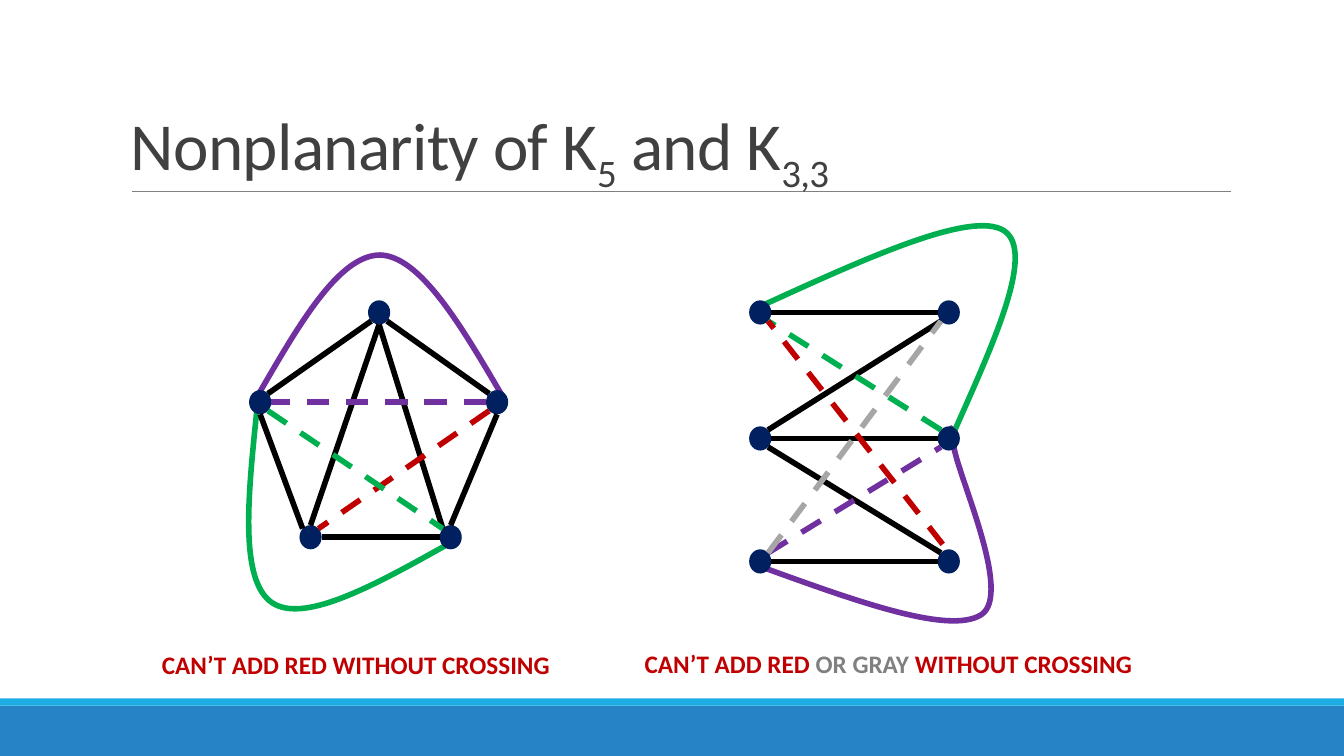
"""Slide showing why K5 and K3,3 cannot be drawn without crossings."""
from lxml.etree import SubElement
from pptx import Presentation
from pptx.dml.color import RGBColor
from pptx.enum.dml import MSO_LINE
from pptx.enum.shapes import MSO_CONNECTOR, MSO_SHAPE
from pptx.enum.text import MSO_ANCHOR, PP_ALIGN
from pptx.oxml.ns import qn
from pptx.util import Inches, Pt

BLACK = RGBColor(0x00, 0x00, 0x00)
NAVY = RGBColor(0x00, 0x20, 0x60)
PURPLE = RGBColor(0x70, 0x30, 0xA0)
GREEN = RGBColor(0x00, 0xB0, 0x50)
RED = RGBColor(0xC0, 0x00, 0x00)
SILVER = RGBColor(0xA6, 0xA6, 0xA6)
GRAY = RGBColor(0x80, 0x80, 0x80)
CHARCOAL = RGBColor(0x40, 0x40, 0x40)
BLUE = RGBColor(0x26, 0x83, 0xC6)
CYAN = RGBColor(0x1C, 0xAD, 0xE4)

NODE_WIDTH, NODE_HEIGHT = 0.22, 0.24
DIAGONAL = 0.71
SIDES = {
    "N": (0, -1), "S": (0, 1), "W": (-1, 0), "E": (1, 0),
    "NW": (-DIAGONAL, -DIAGONAL), "NE": (DIAGONAL, -DIAGONAL),
    "SW": (-DIAGONAL, DIAGONAL), "SE": (DIAGONAL, DIAGONAL),
}

NODES = {
    "left": (2.58, 3.99), "top": (3.76, 3.1), "bottom left": (3.08, 5.33),
    "right": (4.93, 3.99), "bottom right": (4.47, 5.33),
}
for row, height in enumerate((3.1, 4.35, 5.57), start=1):
    NODES[f"a{row}"] = (7.54, height)
    NODES[f"b{row}"] = (9.41, height)

SOLID_EDGES = [
    ("left", "NE", "top", "SW"),
    ("bottom left", "NW", "left", "S"),
    ("bottom right", "W", "bottom left", "E"),
    ("bottom right", "N", "right", "S"),
    ("right", "NW", "top", "SE"),
    ("bottom left", "N", "top", "S"),
    ("bottom right", "NW", "top", "S"),
    ("b1", "SW", "a2", "NE"),
    ("a2", "SE", "b3", "NW"),
    ("b1", "W", "a1", "E"),
    ("b2", "W", "a2", "E"),
    ("b3", "W", "a3", "E"),
]

DASHED_EDGES = [
    ("right", "W", "left", "E", PURPLE),
    ("right", "SW", "bottom left", "NE", RED),
    ("left", "SE", "bottom right", "NW", GREEN),
    ("b2", "NW", "a1", "SE", GREEN),
    ("a3", "NE", "b2", "SW", PURPLE),
    ("a3", "NE", "b1", "SW", SILVER),
]

DETOURS = [
    (PURPLE, (7.54, 4.25, 2.29, 1.91),
     [(7.54, 5.62), (8.48, 5.96), (9.41, 6.3), (9.73, 6.1),
      (10.05, 5.9), (9.5, 4.72), (9.46, 4.43),
      (9.41, 4.14), (9.44, 4.25), (9.47, 4.36)]),
    (GREEN, (7.54, 2.24, 2.52, 2.05),
     [(7.54, 3.04), (8.59, 2.56), (9.64, 2.08), (9.96, 2.29),
      (10.27, 2.5), (9.86, 3.39), (9.46, 4.29)]),
    (PURPLE, (2.56, 2.53, 2.43, 1.41),
     [(2.56, 3.92), (2.96, 3.23), (3.36, 2.53), (3.77, 2.53),
      (4.17, 2.54), (4.58, 3.24), (4.99, 3.94)]),
    (GREEN, (2.47, 4.05, 2.06, 1.99),
     [(4.53, 5.35), (3.78, 5.77), (3.03, 6.2), (2.7, 5.98),
      (2.37, 5.76), (2.46, 4.91), (2.55, 4.05)]),
]


def site(node, side):
    """Return the point on one side of a node."""
    x, y = NODES[node]
    dx, dy = SIDES[side]
    return x + dx * NODE_WIDTH / 2, y + dy * NODE_HEIGHT / 2


class GraphSlide:
    """Hold the slide and its style, and draw each kind of element."""

    font = "Calibri"
    edge_width = 4

    def __init__(self, slide):
        self.shapes = slide.shapes

    def solid(self, kind, left, top, width, height, color):
        """Draw a filled shape without outline."""
        shape = self.shapes.add_shape(
            kind, Inches(left), Inches(top), Inches(width), Inches(height))
        shape.shadow.inherit = False
        shape.fill.solid()
        shape.fill.fore_color.rgb = color
        shape.line.fill.background()

    def node(self, x, y):
        """Draw a vertex around its centre."""
        self.solid(MSO_SHAPE.OVAL, x - NODE_WIDTH / 2, y - NODE_HEIGHT / 2,
                   NODE_WIDTH, NODE_HEIGHT, NAVY)

    def line(self, start, end, color=BLACK, width=edge_width, dashed=False):
        """Draw a straight line between two points."""
        line = self.shapes.add_connector(
            MSO_CONNECTOR.STRAIGHT, *map(Inches, (*start, *end)))
        line.line.color.rgb = color
        line.line.width = Pt(width)
        if dashed:
            line.line.dash_style = MSO_LINE.DASH
        SubElement(line._element.spPr, qn("a:effectLst"))

    def curve(self, color, box, points):
        """Draw cubic curves through control points inside a box."""
        left, top, width, height = box
        builder = self.shapes.build_freeform(Inches(left), Inches(top))
        builder.add_line_segments(
            [(Inches(left + width), Inches(top + height))], close=False)
        curve = builder.convert_to_shape()
        outline = next(curve._element.iter(qn("a:path")))
        for segment in list(outline):
            outline.remove(segment)
        for index, (x, y) in enumerate(points):
            if index == 0:
                segment = SubElement(outline, qn("a:moveTo"))
            elif index % 3 == 1:
                segment = SubElement(outline, qn("a:cubicBezTo"))
            SubElement(segment, qn("a:pt"), x=str(int(Inches(x - left))),
                       y=str(int(Inches(y - top))))
        curve.shadow.inherit = False
        curve.fill.background()
        curve.line.color.rgb = color
        curve.line.width = Pt(self.edge_width)

    def text(self, left, top, width, height, size, bold=False):
        """Add a wrapped text box and return its frame and paragraph."""
        frame = self.shapes.add_textbox(
            Inches(left), Inches(top), Inches(width), Inches(height)).text_frame
        frame.word_wrap = True
        paragraph = frame.paragraphs[0]
        paragraph.font.name = self.font
        paragraph.font.size = Pt(size)
        paragraph.font.bold = bold
        return frame, paragraph

    def title(self, parts):
        """Write the title, with every second part as a subscript."""
        frame, paragraph = self.text(1.2, 0.31, 11, 1.59, 48)
        frame.vertical_anchor = MSO_ANCHOR.BOTTOM
        paragraph.line_spacing = 0.85
        paragraph.font.color.rgb = CHARCOAL
        for index, part in enumerate(parts):
            run = paragraph.add_run()
            run.text = part
            properties = run._r.get_or_add_rPr()
            properties.set("spc", "-50")
            if index % 2:
                properties.set("baseline", "-25000")

    def caption(self, left, top, width, parts):
        """Write a centred bold caption from coloured parts."""
        _, paragraph = self.text(left, top, width, 0.4, 18, bold=True)
        paragraph.alignment = PP_ALIGN.CENTER
        for wording, color in parts:
            run = paragraph.add_run()
            run.text = wording
            run.font.color.rgb = color


def main():
    """Build and save the slide."""
    deck = Presentation()
    deck.slide_width, deck.slide_height = Inches(13.33), Inches(7.5)
    graphs = GraphSlide(deck.slides.add_slide(deck.slide_layouts[6]))
    graphs.solid(MSO_SHAPE.RECTANGLE, 0, 7, 13.33, 0.5, BLUE)
    graphs.solid(MSO_SHAPE.RECTANGLE, 0, 6.93, 13.33, 0.07, CYAN)
    graphs.line((1.31, 1.9), (12.21, 1.9), GRAY, width=0.5)
    for detour in DETOURS:
        graphs.curve(*detour)
    graphs.title(["Nonplanarity of K", "5", " and K", "3,3"])
    for center in NODES.values():
        graphs.node(*center)
    for start, start_side, end, end_side in SOLID_EDGES:
        graphs.line(site(start, start_side), site(end, end_side))
    for start, start_side, end, end_side, color in DASHED_EDGES:
        graphs.line(site(start, start_side), site(end, end_side), color,
                    dashed=True)
    graphs.line((9.35, 5.4), site("a1", "SE"), RED, dashed=True)
    graphs.caption(1.49, 6.39, 4.08, [("CAN’T ADD RED WITHOUT CROSSING", RED)])
    graphs.caption(6.19, 6.38, 5.24, [
        ("CAN’T ADD RED ", RED), ("OR GRAY ", GRAY), ("WITHOUT CROSSING", RED)])
    deck.save("out.pptx")


if __name__ == "__main__":
    main()
